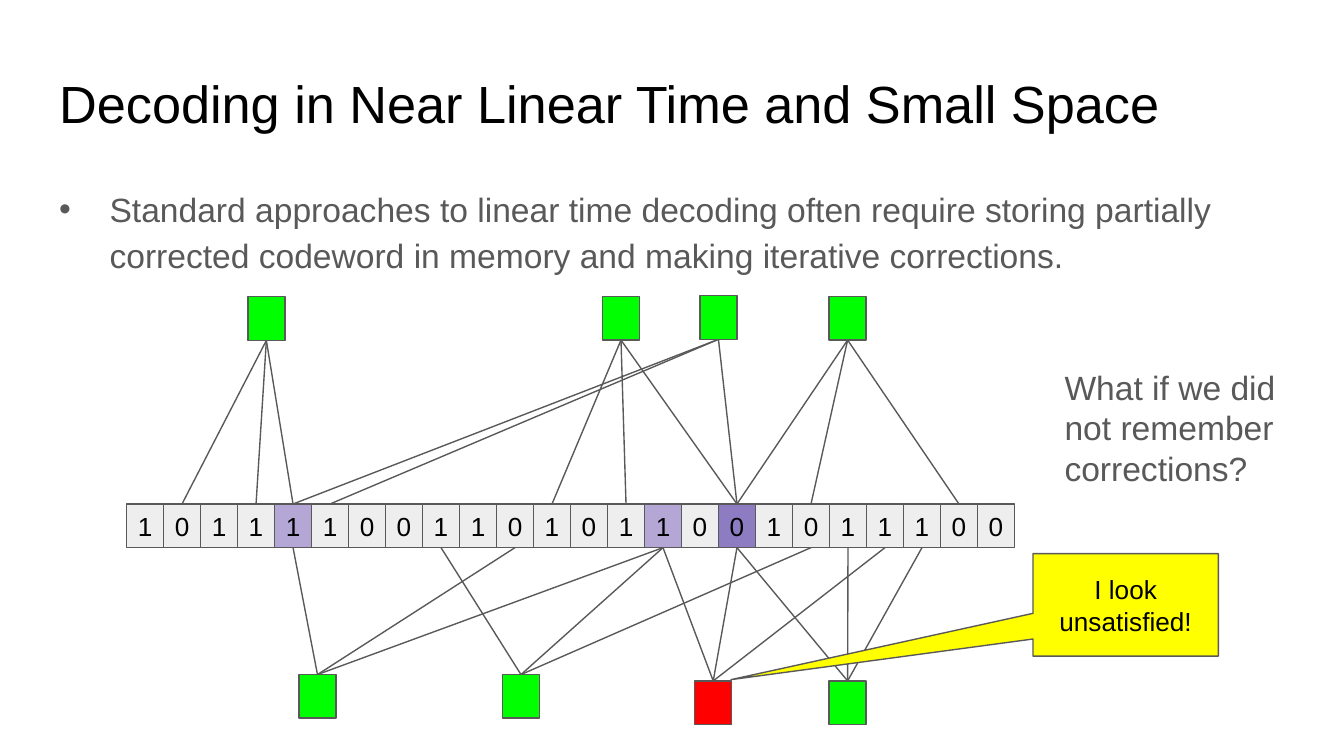
from dataclasses import dataclass

from lxml.etree import SubElement
from pptx import Presentation
from pptx.dml.color import RGBColor
from pptx.enum.shapes import MSO_CONNECTOR, MSO_SHAPE
from pptx.enum.text import MSO_ANCHOR, MSO_AUTO_SIZE, PP_ALIGN
from pptx.oxml.ns import qn
from pptx.util import Pt

COLORS = {
    "black": "000000", "gray": "595959", "cell": "EEEEEE",
    "light": "B4A7D6", "dark": "8E7CC3",
    "green": "00FF00", "red": "FF0000", "yellow": "FFFF00",
}

# Codeword row, in points
BITS = "101111001101011001011100"
MARKED = {4: "light", 14: "light", 16: "dark"}
LEFT, TOP, STEP = 67.8, 270, 19.82
WIDE, HIGH = 19.8, 23.4


@dataclass
class Check:
    left: float
    top: float
    bits: tuple[int, ...]
    color: str = "green"


CHECKS = [
    # Above the codeword
    Check(132.8, 159, (1, 3, 4)),
    Check(322.8, 158.8, (11, 13, 16)),
    Check(375, 158.4, (4, 5, 16)),
    Check(444.2, 158.8, (16, 18, 22)),
    # Below the codeword
    Check(160.2, 361.4, (4, 10, 14)),
    Check(269.2, 361.4, (8, 14, 18)),
    Check(372.2, 364.8, (14, 16, 20), "red"),
    Check(444.2, 364.8, (16, 19, 21)),
]


def color(name: str) -> RGBColor:
    return RGBColor.from_string(COLORS[name])


def write(shape, text: str, size=14, ink="black", align=PP_ALIGN.LEFT,
          anchor=MSO_ANCHOR.TOP, inset=7.2, line=1.0, after=0) -> None:
    frame = shape.text_frame
    frame.word_wrap = True
    frame.auto_size = MSO_AUTO_SIZE.NONE
    frame.vertical_anchor = anchor
    frame.margin_left = frame.margin_right = Pt(inset)
    frame.margin_top = frame.margin_bottom = Pt(inset)
    frame.text = text
    para = frame.paragraphs[0]
    para.alignment = align
    para.line_spacing = line
    para.space_before, para.space_after = Pt(0), Pt(after)
    font = para.runs[0].font
    font.name, font.size = "Arial", Pt(size)
    font.color.rgb = color(ink)


def place(shape, left: float, top: float, width: float, height: float) -> None:
    shape.left, shape.top = Pt(left), Pt(top)
    shape.width, shape.height = Pt(width), Pt(height)


def box(slide, left: float, top: float, fill: str, width=WIDE, height=HIGH,
        kind=MSO_SHAPE.RECTANGLE):
    shape = slide.shapes.add_shape(kind, Pt(left), Pt(top), Pt(width), Pt(height))
    shape.shadow.inherit = False
    shape.fill.solid()
    shape.fill.fore_color.rgb = color(fill)
    shape.line.color.rgb = color("gray")
    shape.line.width = Pt(0.75)
    return shape


def wire(slide, check: Check, bit: int) -> None:
    above = check.top < TOP
    start = check.top + HIGH if above else check.top
    end = TOP if above else TOP + HIGH
    line = slide.shapes.add_connector(
        MSO_CONNECTOR.STRAIGHT, Pt(check.left + WIDE / 2), Pt(start),
        Pt(LEFT + STEP * (bit + 0.5)), Pt(end))
    line.line.color.rgb = color("gray")
    line.line.width = Pt(0.75)
    SubElement(line._element.spPr, qn("a:effectLst"))


def main() -> None:
    deck = Presentation()
    deck.slide_width, deck.slide_height = Pt(720), Pt(405)
    slide = deck.slides.add_slide(deck.slide_layouts[1])

    # Title and body
    title, body = slide.shapes.title, slide.placeholders[1]
    place(title, 24.5, 35, 671, 45.4)
    write(title, "Decoding in Near Linear Time and Small Space", size=28, line=0.9)
    place(body, 24.5, 90.7, 671, 68.4)
    props = body.text_frame.paragraphs[0]._p.get_or_add_pPr()
    props.set("marL", "0")
    props.set("indent", "0")
    SubElement(props, qn("a:buNone"))
    write(body, "Standard approaches to linear time decoding often require storing "
          "partially corrected codeword in memory and making iterative corrections.",
          size=18, ink="gray", line=1.15, after=12)

    # Codeword
    for i, bit in enumerate(BITS):
        cell = box(slide, LEFT + STEP * i, TOP, MARKED.get(i, "cell"))
        write(cell, bit, align=PP_ALIGN.CENTER, anchor=MSO_ANCHOR.MIDDLE, inset=0)

    # Wires from checks to bits
    for check in CHECKS:
        for bit in check.bits:
            wire(slide, check, bit)

    # Question
    note = slide.shapes.add_textbox(Pt(563.2), Pt(189.4), Pt(133.2), Pt(110.9))
    write(note, "What if we did not remember corrections?", size=18, ink="gray")

    # Callout
    call = box(slide, 553.4, 296.6, "yellow", 99.3, 54.9,
               MSO_SHAPE.RECTANGULAR_CALLOUT)
    call.adjustments[0], call.adjustments[1] = -2.13, 0.73
    write(call, "I look unsatisfied!", align=PP_ALIGN.CENTER, anchor=MSO_ANCHOR.MIDDLE)

    # Check nodes
    for check in CHECKS:
        box(slide, check.left, check.top, check.color)

    deck.save("out.pptx")


if __name__ == "__main__":
    main()
